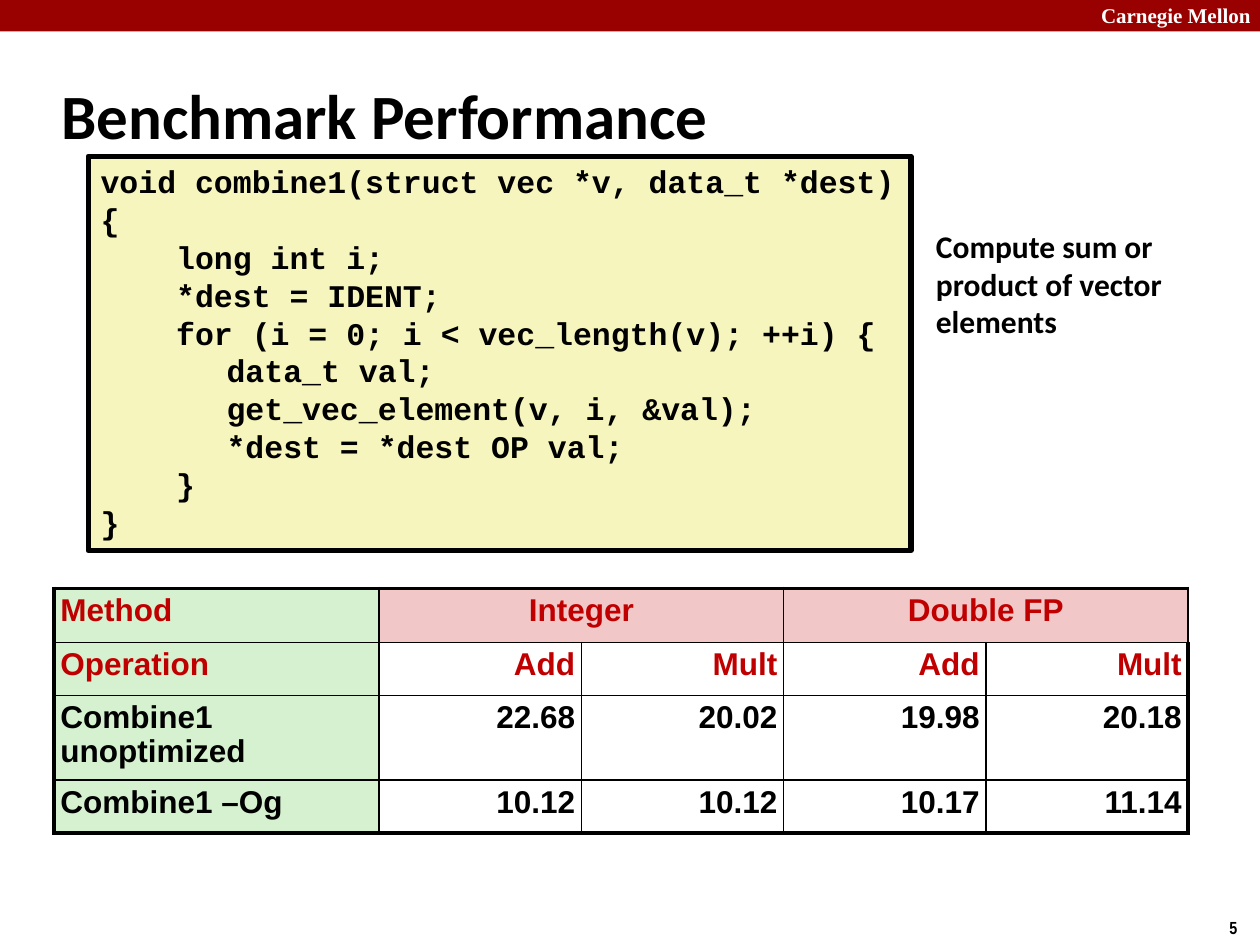
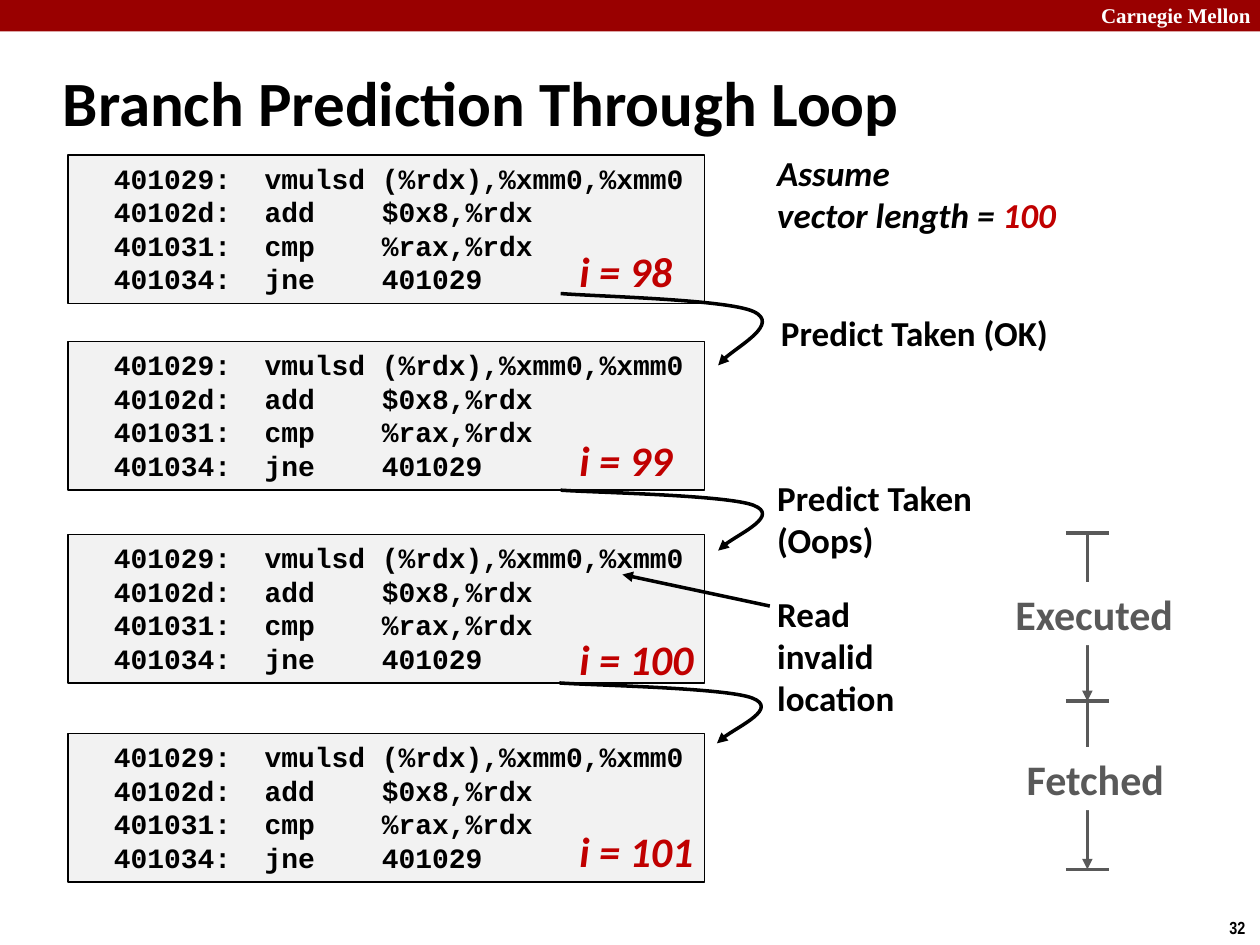
import pptx
import pptx.dml.color
import pptx.enum.shapes
import pptx.enum.text
import pptx.oxml
import pptx.oxml.ns
import pptx.util
from lxml import etree

Inches = pptx.util.Inches
Pt = pptx.util.Pt
qn = pptx.oxml.ns.qn
ALIGN = pptx.enum.text.PP_ALIGN
ANCHOR = pptx.enum.text.MSO_ANCHOR
RECTANGLE = pptx.enum.shapes.MSO_SHAPE.RECTANGLE

BLACK, WHITE, GRAY = "000000", "FFFFFF", "595959"
BAND_RED, TEXT_RED = "990000", "C00000"
CODE_YELLOW, CODE_GRAY = "F6F5BD", "F2F2F2"
HEAD_GREEN, HEAD_PINK = "D5F1CF", "F1C7C7"


def color(hex_text):
    return pptx.dml.color.RGBColor.from_string(hex_text)


# Shared building parts
def add_span(para, text, size, font, hex_text, italic=False):
    span = para.add_run()
    span.text = text
    span.font.size = Pt(size)
    span.font.name = font
    span.font.bold = True
    span.font.italic = italic
    span.font.color.rgb = color(hex_text)


def write(shape, lines, size, font="Calibri", hex_text=BLACK, italic=False,
          wrap=False, anchor=ANCHOR.TOP, tabs=()):
    """Fill a shape; each line is a string or a list of (text, colour)."""
    frame = shape.text_frame
    frame.word_wrap = wrap
    frame.vertical_anchor = anchor
    for index, line in enumerate(lines):
        para = frame.add_paragraph() if index else frame.paragraphs[0]
        para.alignment = ALIGN.LEFT
        if tabs:
            tab_list = etree.SubElement(para._p.get_or_add_pPr(), qn("a:tabLst"))
            for tab in tabs:
                etree.SubElement(tab_list, qn("a:tab"), pos=str(Inches(tab)), algn="l")
        for text, shade in [(line, hex_text)] if isinstance(line, str) else line:
            add_span(para, text, size, font, shade, italic)


def add_text(page, box, lines, size, **style):
    shape = page.shapes.add_textbox(*map(Inches, box))
    write(shape, lines, size, **style)
    return shape


def add_rectangle(page, box, fill, line_width=0):
    shape = page.shapes.add_shape(RECTANGLE, *map(Inches, box))
    shape.shadow.inherit = False
    shape.fill.solid()
    shape.fill.fore_color.rgb = color(fill)
    if line_width:
        shape.line.color.rgb = color(BLACK)
        shape.line.width = Pt(line_width)
    else:
        shape.line.fill.background()
    return shape


def style_line(shape, hex_text, arrow):
    shape.line.color.rgb = color(hex_text)
    shape.line.width = Pt(2)
    if arrow:
        etree.SubElement(shape.line._get_or_add_ln(), qn("a:tailEnd"), type="triangle")


def add_line(page, start, end, hex_text, arrow=False):
    line = page.shapes.add_connector(
        pptx.enum.shapes.MSO_CONNECTOR.STRAIGHT, *map(Inches, start + end))
    style_line(line, hex_text, arrow)
    etree.SubElement(line._element.spPr, qn("a:effectLst"))


def new_page(deck, title, title_box, number):
    page = deck.slides.add_slide(deck.slide_layouts[6])
    add_rectangle(page, (0, 0, 10, 0.25), BAND_RED)
    add_text(page, (8.64, -0.03, 1.43, 0.3), ["Carnegie Mellon"], 12,
             font="Times New Roman", hex_text=WHITE, wrap=True)
    add_text(page, (9.66, 7.23, 0.34, 0.27), [str(number)], 10, font="Arial Narrow")
    add_text(page, title_box, [title], 36, wrap=True, anchor=ANCHOR.MIDDLE)
    return page


# Benchmark slide
COMBINE_CODE = [
    "void combine1(struct vec *v, data_t *dest)",
    "{",
    "    long int i;",
    "    *dest = IDENT;",
    "    for (i = 0; i < vec_length(v); ++i) {",
    "\tdata_t val;",
    "\tget_vec_element(v, i, &val);",
    "\t*dest = *dest OP val;",
    "    }",
    "}",
]
BENCHMARKS = [
    ["Method", "Integer", "", "Double FP", ""],
    ["Operation", "Add", "Mult", "Add", "Mult"],
    ["Combine1 unoptimized", "22.68", "20.02", "19.98", "20.18"],
    ["Combine1 –Og", "10.12", "10.12", "10.17", "11.14"],
]


def set_borders(cell, widths):
    properties = cell._tc.get_or_add_tcPr()
    for side, width in zip("LRTB", widths):
        line = etree.SubElement(properties, qn("a:ln" + side), w=str(Pt(width)))
        fill = etree.SubElement(line, qn("a:solidFill"))
        etree.SubElement(fill, qn("a:srgbClr"), val=BLACK)


def add_benchmark_table(page, box):
    left, top, width, height = box
    row_count, column_count = len(BENCHMARKS), len(BENCHMARKS[0])
    table = page.shapes.add_table(row_count, column_count, *map(Inches, box)).table
    table.first_row = table.horz_banding = False
    method_width = 2.58
    for index, column in enumerate(table.columns):
        column.width = Inches(
            (width - method_width) / (column_count - 1) if index else method_width)
    for row, row_height in zip(table.rows, (0.43, 0.42, 0.67, 0.42)):
        row.height = Inches(row_height)
    for r, values in enumerate(BENCHMARKS):
        for c, value in enumerate(values):
            cell = table.cell(r, c)
            edges = (c == 0, c == column_count - 1, r == 0, r == row_count - 1)
            set_borders(cell, [2.25 if edge else 1 for edge in edges])
            if c == 0 or r == 0:
                cell.fill.solid()
                cell.fill.fore_color.rgb = color(HEAD_PINK if c else HEAD_GREEN)
            else:
                cell.fill.background()
            cell.margin_left = cell.margin_right = Inches(0.05)
            cell.margin_top = cell.margin_bottom = Inches(0.05)
            if value:
                para = cell.text_frame.paragraphs[0]
                para.line_spacing = 0.95
                para.alignment = (ALIGN.LEFT if c == 0 else
                                  ALIGN.CENTER if r == 0 else ALIGN.RIGHT)
                add_span(para, value, 18, "Arial", TEXT_RED if r < 2 else BLACK)
    for c in (1, 3):
        table.cell(0, c).merge(table.cell(0, c + 1))


def benchmark_slide(deck):
    page = new_page(deck, "Benchmark Performance", (0.39, 0.49, 8.3, 0.83), 5)
    code = add_rectangle(page, (0.7, 1.24, 6.53, 3.13), CODE_YELLOW, 3)
    write(code, COMBINE_CODE, 18, font="Courier New", tabs=(1, 2.5))
    add_text(page, (7.33, 1.75, 2.67, 1.01),
             ["Compute sum or product of vector elements"], 18, wrap=True)
    add_benchmark_table(page, (0.43, 4.67, 9, 1.94))


# Branch prediction slide
LOOP_CODE = [
    "  401029:  vmulsd (%rdx),%xmm0,%xmm0",
    "  40102d:  add    $0x8,%rdx",
    "  401031:  cmp    %rax,%rdx",
    "  401034:  jne    401029",
]
# Top of each code box, loop index, top of its label, label width
ITERATIONS = [
    (1.23, 98, 1.9, 0.94),
    (2.71, 99, 3.4, 0.94),
    (4.24, 100, 4.98, 1.11),
    (5.82, 101, 6.5, 1.11),
]
# Jump curve: start, then control points; x in inches, y as share of height
JUMP_CURVE = [(0, 0), (0.26, 0.04), (1.32, 0.08), (1.53, 0.25),
              (1.74, 0.42), (1.31, 0.83), (1.25, 1)]


def add_jump(page, left, top, height):
    points = [(Inches(left + x), Inches(top + y * height)) for x, y in JUMP_CURVE]
    builder = page.shapes.build_freeform(*points[0], scale=1.0)
    builder.add_line_segments(points[1:], close=False)
    jump = builder.convert_to_shape()
    # Turn each three straight segments into one cubic curve
    outline = next(jump._element.iter(qn("a:path")))
    segments = outline.findall(qn("a:lnTo"))
    for first in range(0, len(segments), 3):
        curve = etree.SubElement(outline, qn("a:cubicBezTo"))
        for segment in segments[first:first + 3]:
            curve.append(segment[0])
            outline.remove(segment)
    jump.shadow.inherit = False
    jump.fill.background()
    style_line(jump, BLACK, arrow=True)


def add_stage_scale(page, center, top, bottom):
    middle = (top + bottom) / 2
    for start, end in ((middle, bottom), (top, middle)):
        add_line(page, (center, start), (center, end), GRAY, arrow=True)
    for name, left, offset, width in (("Executed", 7.96, 0.39, 1.47),
                                      ("Fetched", 8.05, 1.7, 1.3)):
        label = add_rectangle(page, (left, top + offset, width, 0.5), WHITE)
        write(label, [name], 24, hex_text=GRAY)
    for y in (top, middle, bottom):
        add_line(page, (center - 0.17, y), (center + 0.17, y), GRAY)


def branch_slide(deck):
    page = new_page(deck, "Branch Prediction Through Loop", (0.4, 0.49, 8.59, 0.63), 32)
    for top, *_ in ITERATIONS:
        code = add_rectangle(page, (0.54, top, 5.05, 1.18), CODE_GRAY, 0.75)
        write(code, LOOP_CODE, 16, font="Courier New")
    for jump in ((4.45, 2.33, 0.57), (4.45, 3.89, 0.48), (4.44, 5.42, 0.48)):
        add_jump(page, *jump)
    for _, index, top, width in ITERATIONS:
        add_text(page, (4.5, top, width, 0.5), [f"i = {index}"], 24,
                 hex_text=TEXT_RED, italic=True)
    # Remarks beside the code
    add_text(page, (6.07, 1.15, 2.43, 0.77),
             ["Assume", [("vector length = ", BLACK), ("100", TEXT_RED)]], 20, italic=True)
    add_text(page, (6.1, 2.42, 2.34, 0.44), ["Predict Taken (OK)"], 20)
    add_text(page, (6.07, 3.73, 1.76, 0.77), ["Predict Taken", "(Oops)"], 20)
    add_text(page, (6.07, 4.65, 1.42, 1.11), ["Read invalid location"], 20, wrap=True)
    add_line(page, (6.11, 4.81), (4.94, 4.56), BLACK, arrow=True)
    add_stage_scale(page, 8.63, 4.23, 6.9)


def main():
    deck = pptx.Presentation()
    deck.slide_width, deck.slide_height = Inches(10), Inches(7.5)
    benchmark_slide(deck)
    branch_slide(deck)
    deck.save("out.pptx")


if __name__ == "__main__":
    main()
